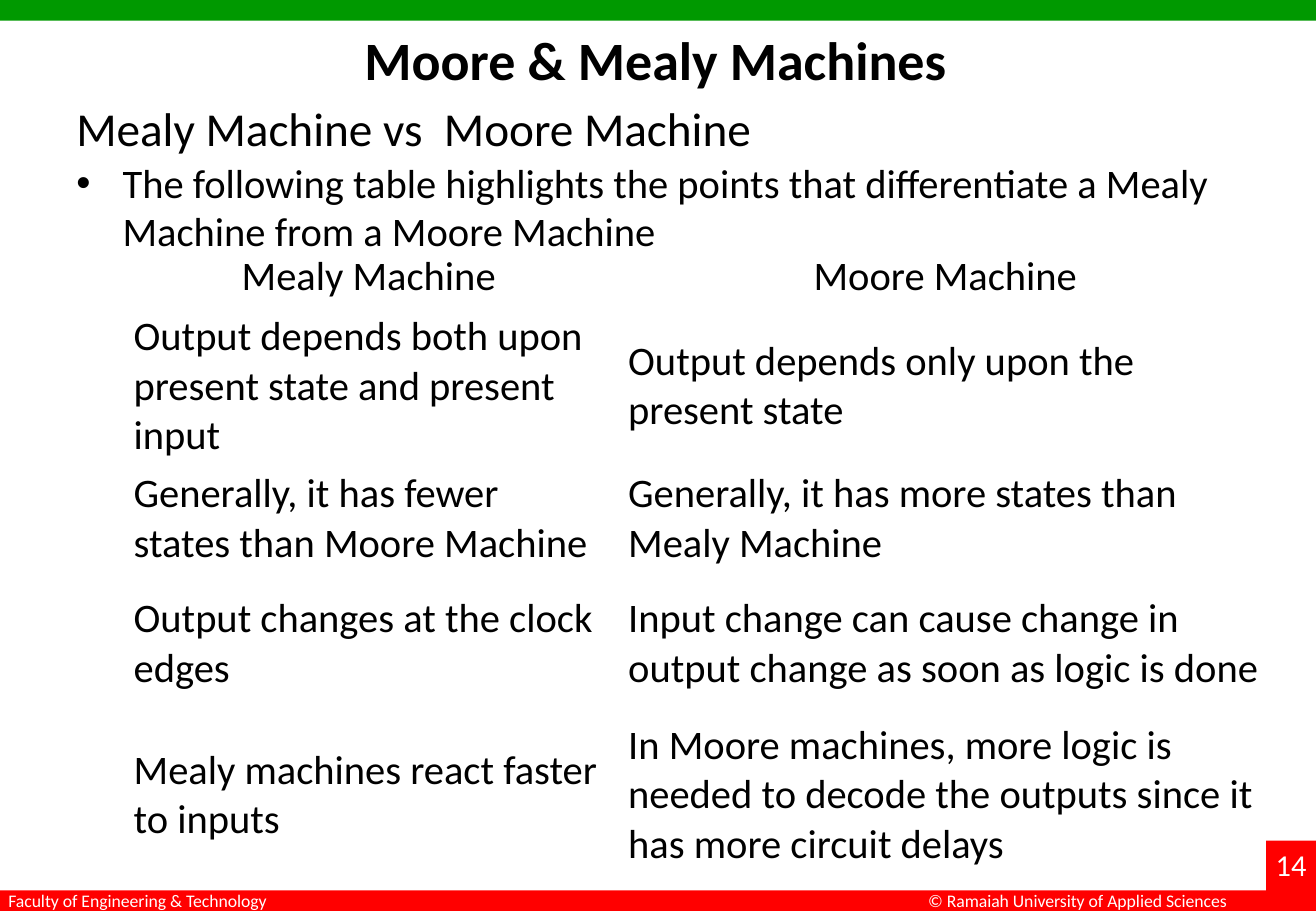
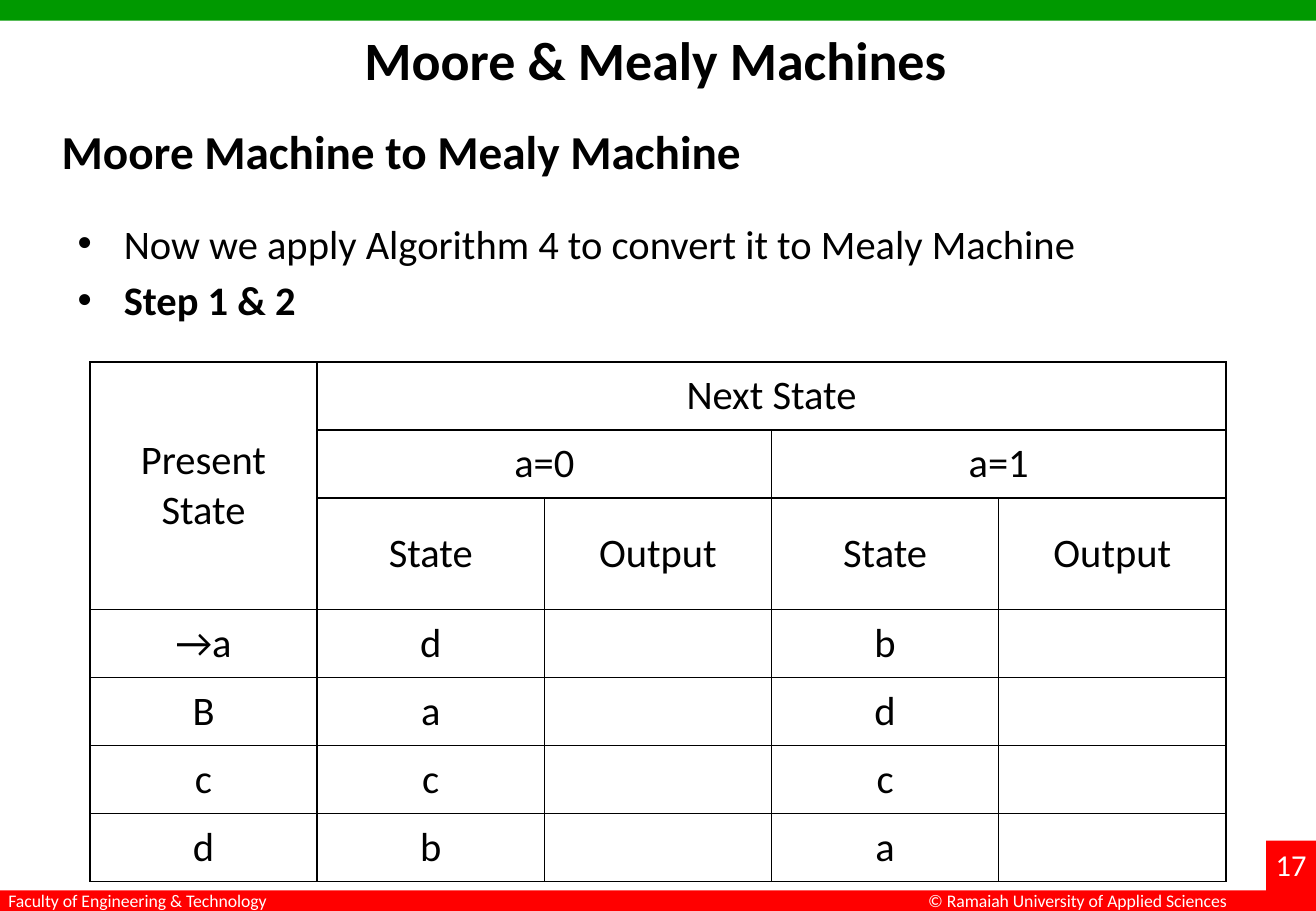
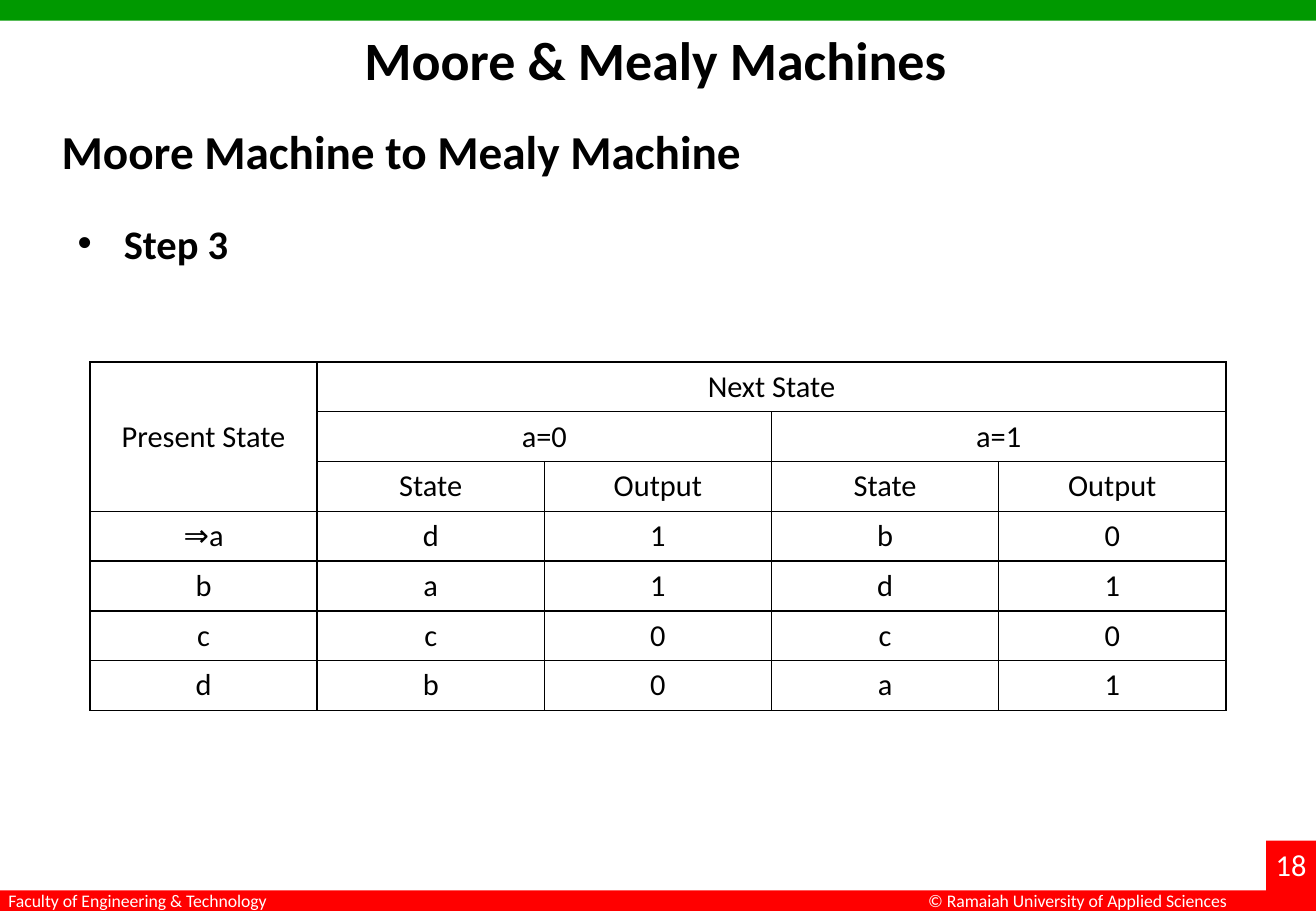
"""Builds three slides on Moore and Mealy machines."""
import pptx
import pptx.util
import pptx.dml.color
import pptx.enum.shapes
import pptx.enum.text
import pptx.oxml.ns
from lxml import etree

Inches = pptx.util.Inches
Pt = pptx.util.Pt
W, H = 10.83, 7.5
FONT = "Calibri"
BLACK, WHITE, GREEN, RED = "000000", "FFFFFF", "009900", "FF0000"
BAND = 0.17
NO_GRID = "{2D5ABB26-0587-4C30-8999-92F81FD0307C}"
CENTER = pptx.enum.text.PP_ALIGN.CENTER
LEFT = pptx.enum.text.PP_ALIGN.LEFT


def rgb(value):
    """Turn a hex string into a colour."""
    return pptx.dml.color.RGBColor.from_string(value)


def sub(parent, tag, **attrs):
    """Append a DrawingML element."""
    return etree.SubElement(parent, pptx.oxml.ns.qn(tag), attrs)


def write(p, text, size=24, color=BLACK, bold=False, align=LEFT):
    """Put formatted text in a paragraph."""
    p.alignment = align
    r = p.add_run()
    r.text = text
    r.font.name = FONT
    r.font.size = Pt(size)
    r.font.bold = bold
    r.font.color.rgb = rgb(color)


def rect(s, x, y, w, h, color):
    """Draw a plain filled rectangle."""
    sp = s.shapes.add_shape(pptx.enum.shapes.MSO_SHAPE.RECTANGLE,
                            Inches(x), Inches(y), Inches(w), Inches(h))
    sp.shadow.inherit = False
    sp.fill.solid()
    sp.fill.fore_color.rgb = rgb(color)
    sp.line.fill.background()


def label(s, text, x, y, w, h, **fmt):
    """Add one unwrapped line of text."""
    tf = s.shapes.add_textbox(Inches(x), Inches(y), Inches(w), Inches(h)).text_frame
    tf.word_wrap = False
    write(tf.paragraphs[0], text, **fmt)


def bullets(s, items, x, y, w, h=4.95):
    """Add a bulleted list of (text, bold) items."""
    tf = s.shapes.add_textbox(Inches(x), Inches(y), Inches(w), Inches(h)).text_frame
    tf.word_wrap = True
    for i, (text, bold) in enumerate(items):
        p = tf.add_paragraph() if i else tf.paragraphs[0]
        pPr = p._p.get_or_add_pPr()
        pPr.set("marL", str(Inches(0.38)))
        pPr.set("indent", str(-Inches(0.38)))
        sub(pPr, "a:buFont", typeface="Arial")
        sub(pPr, "a:buChar", char="•")
        if i:
            p.space_before = Pt(4.8)
        write(p, text, bold=bold)


def border(cell):
    """Give a cell thin black edges."""
    for side in ("L", "R", "T", "B"):
        ln = sub(cell._tc.get_or_add_tcPr(), "a:ln" + side, w=str(Pt(1)))
        sub(sub(ln, "a:solidFill"), "a:srgbClr", val=BLACK)


def table(s, rows, x, y, cols, heights, size=24, margin=0.05,
          centered_rows=None, bordered=False, merges=()):
    """Add an unfilled table, joining the cell ranges in merges."""
    tbl = s.shapes.add_table(len(rows), len(cols), Inches(x), Inches(y),
                             Inches(sum(cols)), Inches(sum(heights))).table
    tbl.first_row = tbl.horz_banding = False
    tbl._tbl.tblPr.find(pptx.oxml.ns.qn("a:tableStyleId")).text = NO_GRID
    for col, w in zip(tbl.columns, cols):
        col.width = Inches(w)
    for row, h in zip(tbl.rows, heights):
        row.height = Inches(h)
    for i, texts in enumerate(rows):
        centered = centered_rows is None or i < centered_rows
        for j, text in enumerate(texts):
            cell = tbl.cell(i, j)
            cell.margin_top = cell.margin_bottom = Inches(margin)
            cell.vertical_anchor = pptx.enum.text.MSO_ANCHOR.MIDDLE
            if bordered:
                border(cell)
            cell.fill.background()
            if text:
                write(cell.text_frame.paragraphs[0], text, size=size,
                      align=CENTER if centered else LEFT)
    for first, last in merges:
        tbl.cell(*first).merge(tbl.cell(*last))


def state_table(s, states, heights, **fmt):
    """Add a transition table under its shared header."""
    header = [["Present State", "Next State", "", "", ""],
              ["", "a=0", "", "a=1", ""],
              [""] + ["State", "Output"] * 2]
    table(s, header + states, 0.74, 2.98, [1.87] * 5, heights, bordered=True,
          merges=[((0, 0), (2, 0)), ((0, 1), (0, 4)),
                  ((1, 1), (1, 2)), ((1, 3), (1, 4))], **fmt)


def base_slide(prs, number):
    """Add a slide with its bands, footer and title."""
    s = prs.slides.add_slide(prs.slide_layouts[6])
    footer = dict(size=10.5, color=WHITE)
    rect(s, 0, 0, W, BAND, GREEN)
    rect(s, 0, H - BAND, W, BAND, RED)
    label(s, "© Ramaiah University of Applied Sciences", 7.54, 7.28, 2.7, 0.28, **footer)
    rect(s, 10.42, 6.92, 0.41, 0.58, RED)
    label(s, str(number), 10.4, 6.92, 0.5, 0.4, size=18, color=WHITE)
    label(s, "Faculty of Engineering & Technology", -0.03, 7.28, 2.38, 0.28, **footer)
    label(s, "Moore & Mealy Machines", 2.9, 0.17, 5.04, 0.64, size=32, bold=True)
    return s


def conversion_slide(prs, number, items):
    """Add a slide of the Moore to Mealy conversion."""
    s = base_slide(prs, number)
    label(s, "Moore Machine to Mealy Machine", 0.41, 0.96, 5.86, 0.57, size=28, bold=True)
    bullets(s, items, 0.54, 1.75, 9.75)
    return s


def main():
    """Build and save the presentation."""
    prs = pptx.Presentation()
    prs.slide_width, prs.slide_height = Inches(W), Inches(H)

    s = base_slide(prs, 14)
    bullets(s, [("The following table highlights the points that differentiate "
                 "a Mealy Machine from a Moore Machine", False)], 0.53, 1.25, 10.42)
    label(s, "Mealy Machine vs  Moore Machine", 0.53, 0.77, 5.83, 0.57, size=28)
    table(s, [
        ["Mealy Machine", "Moore Machine"],
        ["Output depends both upon present state and present input",
         "Output depends only upon the present state"],
        ["Generally, it has fewer states than Moore Machine",
         "Generally, it has more states than Mealy Machine"],
        ["Output changes at the clock edges",
         "Input change can cause change in output change as soon as logic is done"],
        ["Mealy machines react faster to inputs",
         "In Moore machines, more logic is needed to decode the outputs "
         "since it has more circuit delays"],
    ], 1, 2.02, [4.07, 5.42], [0.51, 1.3, 0.88, 1.18, 1.31], margin=0.03, centered_rows=1)

    s = conversion_slide(prs, 17, [
        ("Now we apply Algorithm 4 to convert it to Mealy Machine", False),
        ("Step 1 & 2", True)])
    state_table(s, [["→a", "d", "", "b", ""],
                    ["B", "a", "", "d", ""],
                    ["c", "c", "", "c", ""],
                    ["d", "b", "", "a", ""]],
                [0.56] * 2 + [0.92] + [0.56] * 4)

    s = conversion_slide(prs, 18, [("Step 3", True)])
    state_table(s, [["⇒a", "d", "1", "b", "0"],
                    ["b", "a", "1", "d", "1"],
                    ["c", "c", "0", "c", "0"],
                    ["d", "b", "0", "a", "1"]],
                [0.41] * 7, size=18)

    prs.save("out.pptx")


if __name__ == "__main__":
    main()
